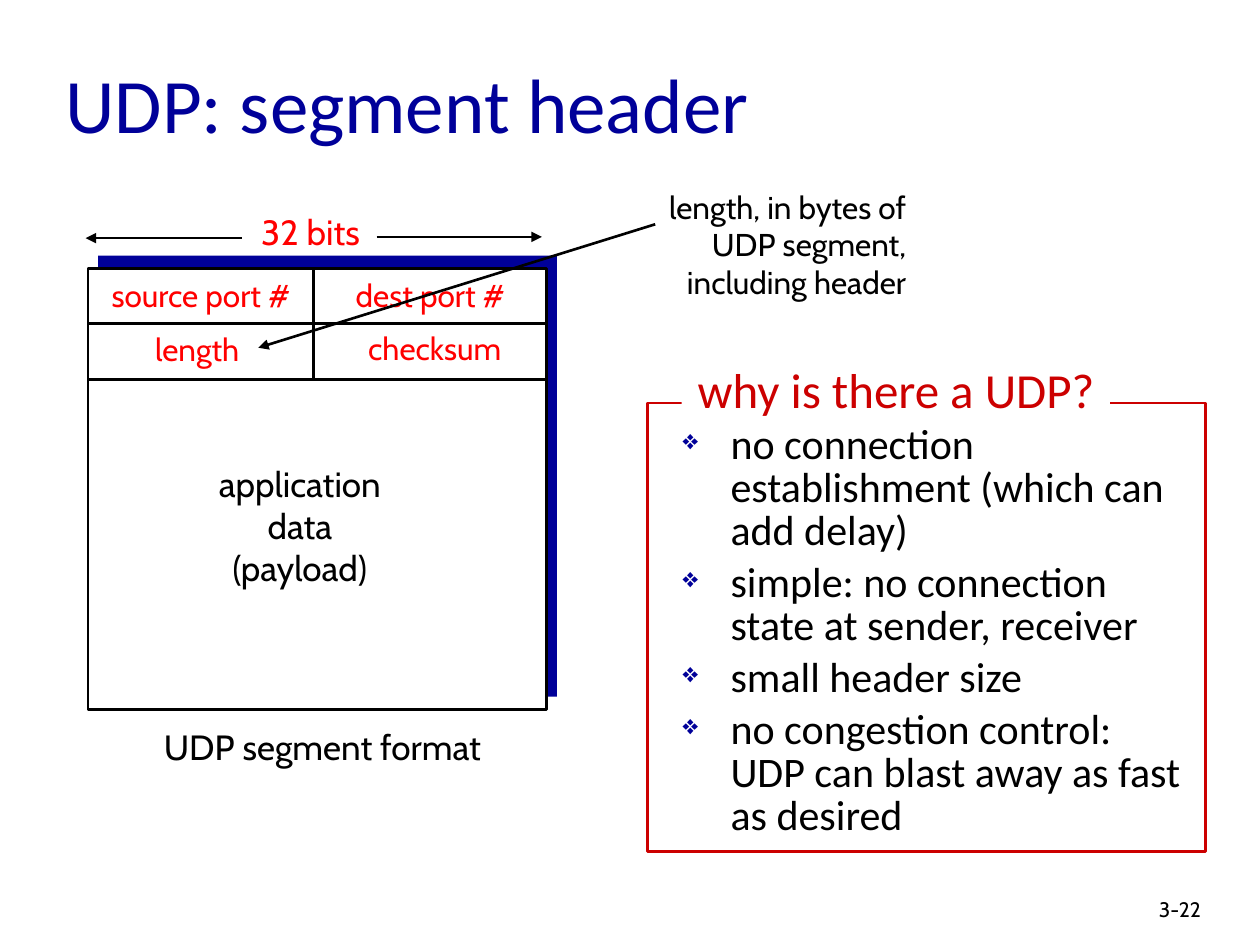
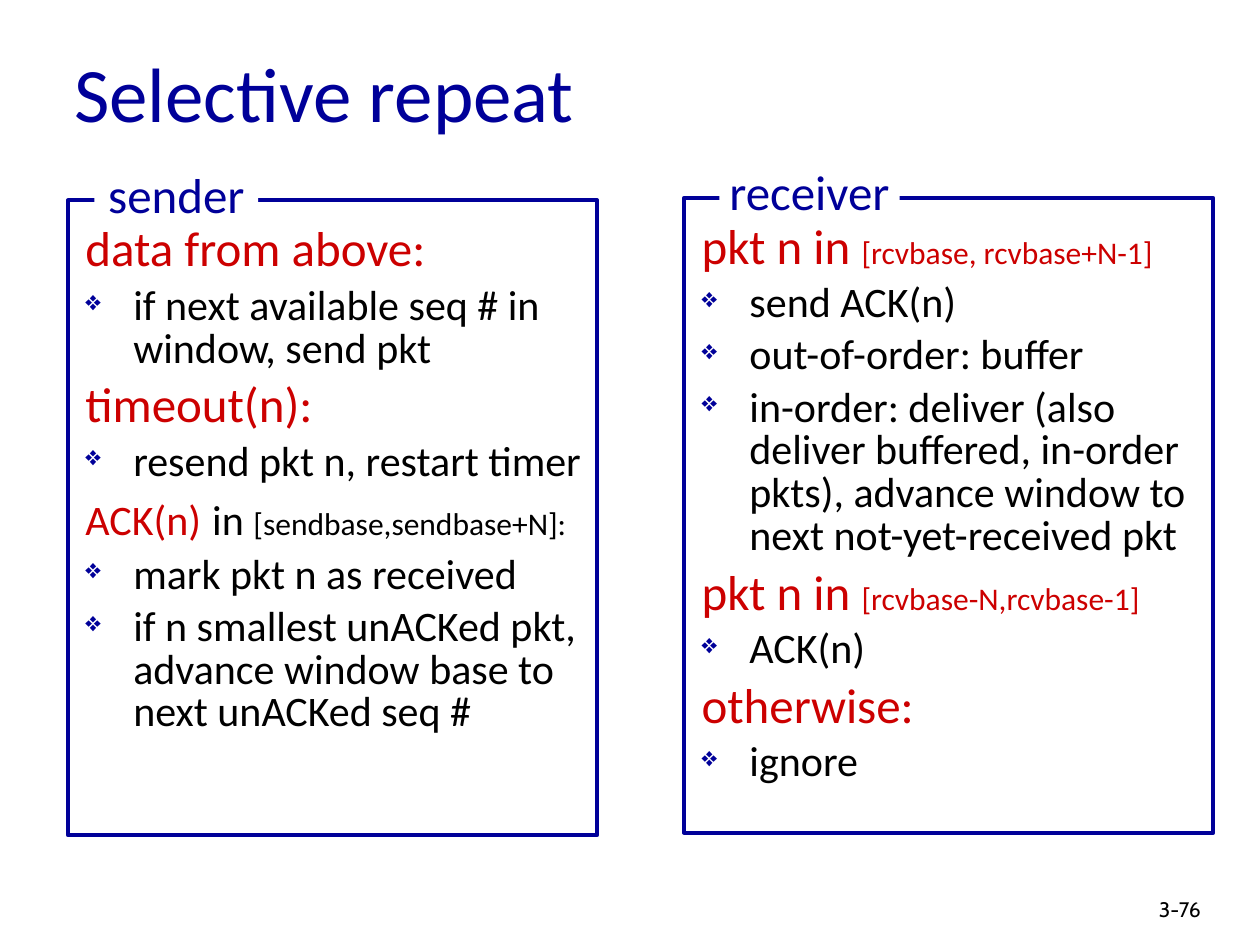
from pptx import Presentation
from pptx.dml.color import RGBColor
from pptx.enum.shapes import MSO_CONNECTOR, MSO_SHAPE
from pptx.enum.text import MSO_ANCHOR, PP_ALIGN
from pptx.oxml.ns import qn
from pptx.util import Inches, Pt
from lxml.etree import SubElement

# Shared look
NAVY, CRIMSON, RED, BLACK, WHITE = "000099", "CC0000", "FF0000", "000000", "FFFFFF"
BODY_FONT, LABEL_FONT = "Calibri", "Cabin"
BULLET_INDENT = 0.38
BODY_LEADING = 0.85
SPACE_SHARE = 0.2  # space before a paragraph, as a share of its line height

# Slide 1: segment diagram
SEGMENT = (0.7, 2.13, 3.64, 3.5)
SEGMENT_SHADOW = (0.78, 2.03, 3.64, 3.5)
ROW_HEIGHT = 0.44
COLUMN_X = 2.49
# text, (left, top, width, height), size, colour
SEGMENT_LABELS = [
    ("source port #", (0.74, 2.14, 1.71, 0.4), 18, RED),
    ("dest port #", (2.69, 2.14, 1.45, 0.4), 18, RED),
    ("length", (1.12, 2.57, 0.89, 0.4), 18, RED),
    ("checksum", (2.8, 2.56, 1.3, 0.4), 18, RED),
    ("32 bits", (1.95, 1.62, 1.03, 0.44), 20, RED),
    ("application\ndata\n(payload)", (1.62, 3.62, 1.52, 1.1), 20, BLACK),
    ("UDP segment format", (1.18, 5.71, 2.76, 0.43), 20, BLACK),
]
LENGTH_NOTE = ("length, in bytes of UDP segment, including header", (4.66, 1.44, 2.63, 1))
ARROWS = [
    ((2.99, 1.88), (4.3, 1.88)),
    ((1.92, 1.89), (0.68, 1.89)),
    ((5.2, 1.78), (2.05, 2.76)),
]

# Panel paragraphs: a string is a bullet, a list of (text, size, colour) is a heading
WHY_UDP = [
    "no connection establishment (which can add delay)",
    "simple: no connection state at sender, receiver",
    "small header size",
    "no congestion control: UDP can blast away as fast as desired",
]
SENDER = [
    [("data from above:", 28, CRIMSON)],
    "if next available seq # in window, send pkt",
    [("timeout(n):", 28, CRIMSON)],
    "resend pkt n, restart timer",
    [("ACK(n)", 24, CRIMSON), (" ", 28, RED), ("in ", 24, BLACK),
     ("[sendbase,sendbase+N]:", 18, BLACK)],
    "mark pkt n as received",
    "if n smallest unACKed pkt, advance window base to next unACKed seq #",
]
RECEIVER = [
    [("pkt n in ", 28, CRIMSON), ("[rcvbase, rcvbase+N-1]", 18, CRIMSON)],
    "send ACK(n)",
    "out-of-order: buffer",
    "in-order: deliver (also deliver buffered, in-order pkts), "
    "advance window to next not-yet-received pkt",
    [("pkt n in ", 28, CRIMSON), ("[rcvbase-N,rcvbase-1]", 18, CRIMSON)],
    "ACK(n)",
    [("otherwise:", 28, CRIMSON)],
    "ignore",
]


def colour(value):
    return RGBColor.from_string(value)


def add_span(para, text, size, value, font):
    span = para.add_run()
    span.text = text
    span.font.name = font
    span.font.size = Pt(size)
    span.font.color.rgb = colour(value)


def add_page(deck, title, title_place, number):
    page = deck.slides.add_slide(deck.slide_layouts[5])
    box = page.shapes.title
    box.left, box.top, box.width, box.height = map(Inches, title_place)
    box.text_frame.vertical_anchor = MSO_ANCHOR.MIDDLE
    para = box.text_frame.paragraphs[0]
    para.alignment = PP_ALIGN.LEFT
    add_span(para, title, 44, NAVY, BODY_FONT)
    add_label(page, number, (9.1, 7.07, 0.74, 0.3), 12, BLACK, PP_ALIGN.LEFT, True)
    return page


def add_label(page, text, place, size, value, align=PP_ALIGN.CENTER, wrap=False):
    frame = page.shapes.add_textbox(*map(Inches, place)).text_frame
    frame.word_wrap = wrap
    for index, line in enumerate(text.split("\n")):
        para = frame.add_paragraph() if index else frame.paragraphs[0]
        para.alignment = align
        add_span(para, line, size, value, LABEL_FONT)


def add_rectangle(page, place, fill=None, line=None, width=1.5):
    box = page.shapes.add_shape(MSO_SHAPE.RECTANGLE, *map(Inches, place))
    box.shadow.inherit = False
    if fill:
        box.fill.solid()
        box.fill.fore_color.rgb = colour(fill)
    else:
        box.fill.background()
    if line:
        box.line.color.rgb = colour(line)
        box.line.width = Pt(width)
    else:
        box.line.fill.background()
    return box


def add_line(page, start, end, arrow=False):
    line = page.shapes.add_connector(MSO_CONNECTOR.STRAIGHT, *map(Inches, start + end))
    line.line.color.rgb = colour(BLACK)
    line.line.width = Pt(1.5)
    if arrow:
        SubElement(line.line._get_or_add_ln(), qn("a:tailEnd"), type="triangle")
    SubElement(line._element.spPr, qn("a:effectLst"))


def add_bullet(properties):
    tint = SubElement(properties, qn("a:buClr"))
    SubElement(tint, qn("a:srgbClr"), val=NAVY)
    SubElement(properties, qn("a:buSzPct"), val="65000")
    SubElement(properties, qn("a:buChar"), char="❖")


def add_body(page, place, items):
    frame = page.shapes.add_textbox(*map(Inches, place)).text_frame
    frame.word_wrap = True
    for index, item in enumerate(items):
        para = frame.add_paragraph() if index else frame.paragraphs[0]
        is_bullet = isinstance(item, str)
        spans = [(item, 24, BLACK)] if is_bullet else item
        para.line_spacing = BODY_LEADING
        if index:
            para.space_before = Pt(round(max(size for _, size, _ in spans) * 1.1 * SPACE_SHARE, 1))
        properties = para._p.get_or_add_pPr()
        properties.set("marL", str(Inches(BULLET_INDENT)))
        properties.set("indent", str(-Inches(BULLET_INDENT)))
        if is_bullet:
            add_bullet(properties)
        for text, size, value in spans:
            add_span(para, text, size, value, BODY_FONT)


def add_panel(page, frame_place, width, tab, tab_place, value, body_place, items, tab_leading=1.0):
    """Outlined frame whose heading interrupts the top edge."""
    add_rectangle(page, frame_place, line=value, width=width)
    heading = add_rectangle(page, tab_place, fill=WHITE).text_frame
    heading.word_wrap = False
    heading.vertical_anchor = MSO_ANCHOR.TOP
    para = heading.paragraphs[0]
    para.alignment = PP_ALIGN.CENTER
    para.line_spacing = tab_leading
    add_span(para, tab, 28, value, BODY_FONT)
    add_body(page, body_place, items)


def build_segment_page(deck):
    page = add_page(deck, "UDP: segment header", (0.42, 0.27, 9.12, 1.09), "3-22")

    # Segment block with its header grid
    add_rectangle(page, SEGMENT_SHADOW, fill=NAVY)
    add_rectangle(page, SEGMENT, fill=WHITE, line=BLACK)
    left, top, width, _ = SEGMENT
    for row in (1, 2):
        y = top + row * ROW_HEIGHT
        add_line(page, (left, y), (left + width, y))
    add_line(page, (COLUMN_X, top), (COLUMN_X, top + 2 * ROW_HEIGHT))

    # Labels and arrows
    for text, place, size, value in SEGMENT_LABELS:
        add_label(page, text, place, size, value)
    add_label(page, *LENGTH_NOTE, 18, BLACK, PP_ALIGN.RIGHT, True)
    for start, end in ARROWS:
        add_line(page, start, end, arrow=True)

    add_panel(page, (5.14, 3.2, 4.43, 3.56), 1.5, "why is there a UDP?",
              (5.41, 2.89, 3.4, 0.49), CRIMSON, (5.32, 3.33, 4.17, 3.33), WHY_UDP, 0.8)


def build_repeat_page(deck):
    page = add_page(deck, "Selective repeat", (0.49, 0.27, 8.5, 0.92), "3-76")
    add_panel(page, (0.54, 1.59, 4.2, 5.04), 2.25, "sender",
              (0.75, 1.26, 1.3, 0.57), NAVY, (0.58, 1.75, 4.17, 5.08), SENDER)
    add_panel(page, (5.43, 1.57, 4.2, 5.04), 2.25, "receiver",
              (5.71, 1.23, 1.43, 0.57), NAVY, (5.47, 1.73, 4.17, 5.08), RECEIVER)


def main():
    deck = Presentation()
    deck.slide_width, deck.slide_height = Inches(10), Inches(7.5)
    build_segment_page(deck)
    build_repeat_page(deck)
    deck.save("out.pptx")


if __name__ == "__main__":
    main()
